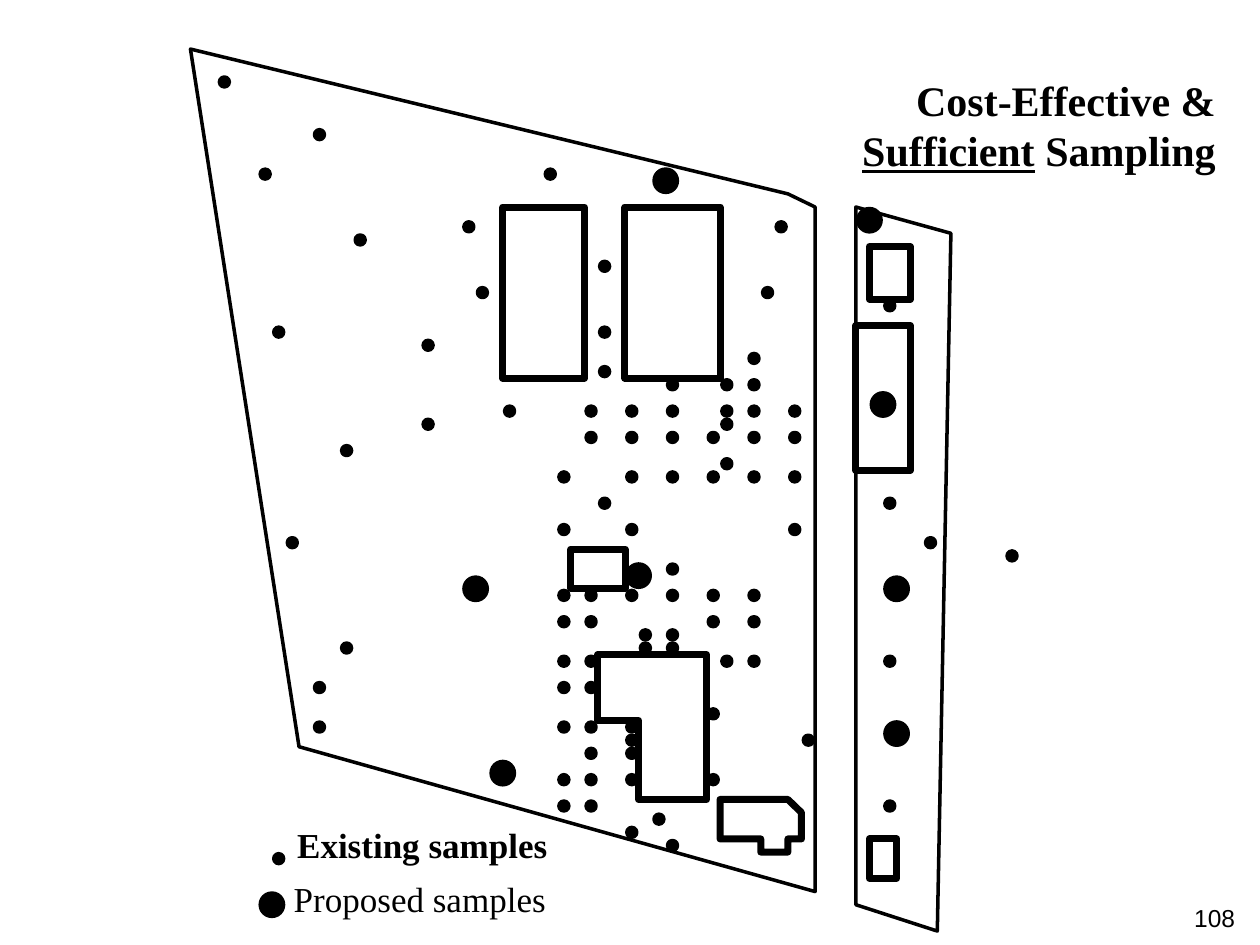
from typing import NamedTuple

from lxml.etree import SubElement
from pptx import Presentation
from pptx.dml.color import RGBColor
from pptx.enum.shapes import MSO_SHAPE as Shape
from pptx.enum.text import MSO_ANCHOR as Anchor, MSO_AUTO_SIZE as Fit, PP_ALIGN as Align
from pptx.oxml.ns import qn
from pptx.util import Cm, Pt

BLACK = RGBColor(0, 0, 0)
SERIF = "Times New Roman"
LEFT, TOP = 3.84, 0.99
STEP_X, STEP_Y = 15.33 / 56, 17.78 / 67
SHIFT = 2.5
SMALL, LARGE = 0.2, 0.47


class Plot(NamedTuple):
    points: list[tuple[int, int]]
    width: int = 4


class Label(NamedTuple):
    lines: list[str]
    box: tuple[float, float, float, float]
    size: int = 20
    font: str = SERIF
    bold: bool = False
    align: Align = Align.LEFT


def block(left: int, top: int, right: int, low: int) -> Plot:
    return Plot([(left, top), (right, top), (right, low), (left, low)])


PLOTS = [
    Plot([(0, 0), (8, 53), (46, 64), (46, 12), (44, 11)], 2),
    Plot([(49, 12), (56, 14), (55, 67), (49, 65)], 2),
    block(23, 12, 29, 25),
    block(32, 12, 39, 25),
    block(28, 38, 32, 41),
    Plot([(30, 46), (38, 46), (38, 57), (33, 57), (33, 51), (30, 51)]),
    Plot([(39, 57), (44, 57), (45, 58), (45, 60), (44, 60),
          (44, 61), (42, 61), (42, 60), (39, 60)]),
    block(50, 60, 52, 63),
    block(49, 21, 53, 32),
    block(50, 15, 53, 19),
]

FOUND = {
    0: [0], 4: [7], 7: [3, 24], 11: [18, 41], 12: [10], 14: [28],
    16: [19, 40], 17: [49], 19: [4, 28], 20: [15], 21: [39], 22: [28],
    23: [33, 37, 39], 25: [21, 27, 30, 33, 37, 39, 42], 26: [15, 37],
    27: [27, 30, 33, 36, 39, 42], 28: [9], 29: [37],
    30: [25, 30, 33, 36, 39, 42], 32: [28, 49], 34: [25, 30, 42],
    35: [5, 52], 36: [58], 37: [33], 39: [25, 27, 30, 33, 36, 39],
    41: [25, 27, 36, 39], 42: [31, 33], 43: [9, 31, 33],
    44: [25, 27, 37, 39, 49], 46: [7, 25, 27], 48: [36],
    49: [7, 25, 27, 30], 50: [30, 43], 51: [27, 30],
    53: [25, 27, 30, 36], 55: [25, 27, 49], 56: [32], 57: [30],
    58: [33], 59: [4],
}

PLANNED = [(6, 65), (52, 52), (52, 41), (51, 27), (50, 13),
           (35, 10), (33, 40), (23, 55), (21, 41)]

KNOWN = Label(["Existing samples"], (5.99, 16.69, 6.38, 1.07), bold=True)
NEXT = Label(["Proposed samples"], (5.92, 17.68, 6.65, 1.04))
HEAD = Label(["Cost-Effective &", "Sufficient Sampling"],
             (14.86, 1.5, 9.65, 2.92), 24, bold=True, align=Align.RIGHT)
PAGE = Label(["108"], (20.12, 17.78, 5.03, 1.14), 14, "Arial", align=Align.RIGHT)


def place(col: float, row: float) -> tuple[float, float]:
    return LEFT + col * STEP_X, TOP + row * STEP_Y


def draw_plot(slide, plot: Plot) -> None:
    first, *rest = [tuple(Cm(v) for v in place(*point)) for point in plot.points]
    pen = slide.shapes.build_freeform(*first)
    pen.add_line_segments(rest, close=True)
    shape = pen.convert_to_shape()
    shape.shadow.inherit = False
    shape.fill.background()
    shape.line.color.rgb = BLACK
    shape.line.width = Pt(plot.width)


def draw_dot(slide, col: float, row: float, size: float) -> None:
    x, y = place(col, row)
    dot = slide.shapes.add_shape(
        Shape.OVAL, Cm(x - size / 2), Cm(y - size / 2), Cm(size), Cm(size))
    dot.shadow.inherit = False
    dot.fill.solid()
    dot.fill.fore_color.rgb = BLACK
    dot.line.color.rgb = BLACK
    dot.line.width = Pt(2)


def write(shape, label: Label) -> None:
    shape.left, shape.top, shape.width, shape.height = map(Cm, label.box)
    frame = shape.text_frame
    frame.text = "\n".join(label.lines)
    frame.word_wrap = True
    frame.auto_size = Fit.NONE
    frame.vertical_anchor = Anchor.TOP
    frame.margin_left = frame.margin_right = 0
    frame.margin_top = frame.margin_bottom = 0
    for para in frame.paragraphs:
        para.alignment = label.align
        para.space_before = Pt(0)
        for run in para.runs:
            style(run, label)


def style(run, label: Label) -> None:
    run.font.name = label.font
    run.font.size = Pt(label.size)
    run.font.bold = label.bold
    run.font.color.rgb = BLACK


def main() -> None:
    deck = Presentation()
    deck.slide_width, deck.slide_height = Cm(25.4), Cm(19.05)
    slide = deck.slides.add_slide(deck.slide_layouts[1])

    for plot in PLOTS:
        draw_plot(slide, plot)
    for row, cols in FOUND.items():
        for col in cols:
            draw_dot(slide, col + SHIFT, row + SHIFT, SMALL)
    for col, row in PLANNED:
        draw_dot(slide, col, row, LARGE)

    title, body = slide.shapes.title, slide.placeholders[1]
    write(title, KNOWN)
    title.text_frame.paragraphs[0].line_spacing = 0.9

    write(body, NEXT)
    props = body.text_frame.paragraphs[0]._p.get_or_add_pPr()
    props.set("marL", "0")
    props.set("indent", "0")
    SubElement(props, qn("a:buNone"))

    head = slide.shapes.add_textbox(0, 0, 0, 0)
    write(head, HEAD)
    para = head.text_frame.paragraphs[1]
    word, tail = para.runs[0], para.add_run()
    word.text, tail.text = "Sufficient", " Sampling"
    word.font.underline = True
    style(tail, HEAD)

    page = slide.shapes.add_textbox(0, 0, 0, 0)
    write(page, PAGE)
    frame = page.text_frame
    frame.vertical_anchor = Anchor.BOTTOM
    frame.margin_left = frame.margin_right = Cm(0.25)
    frame.margin_top = frame.margin_bottom = Cm(0.13)

    deck.save("out.pptx")


if __name__ == "__main__":
    main()
